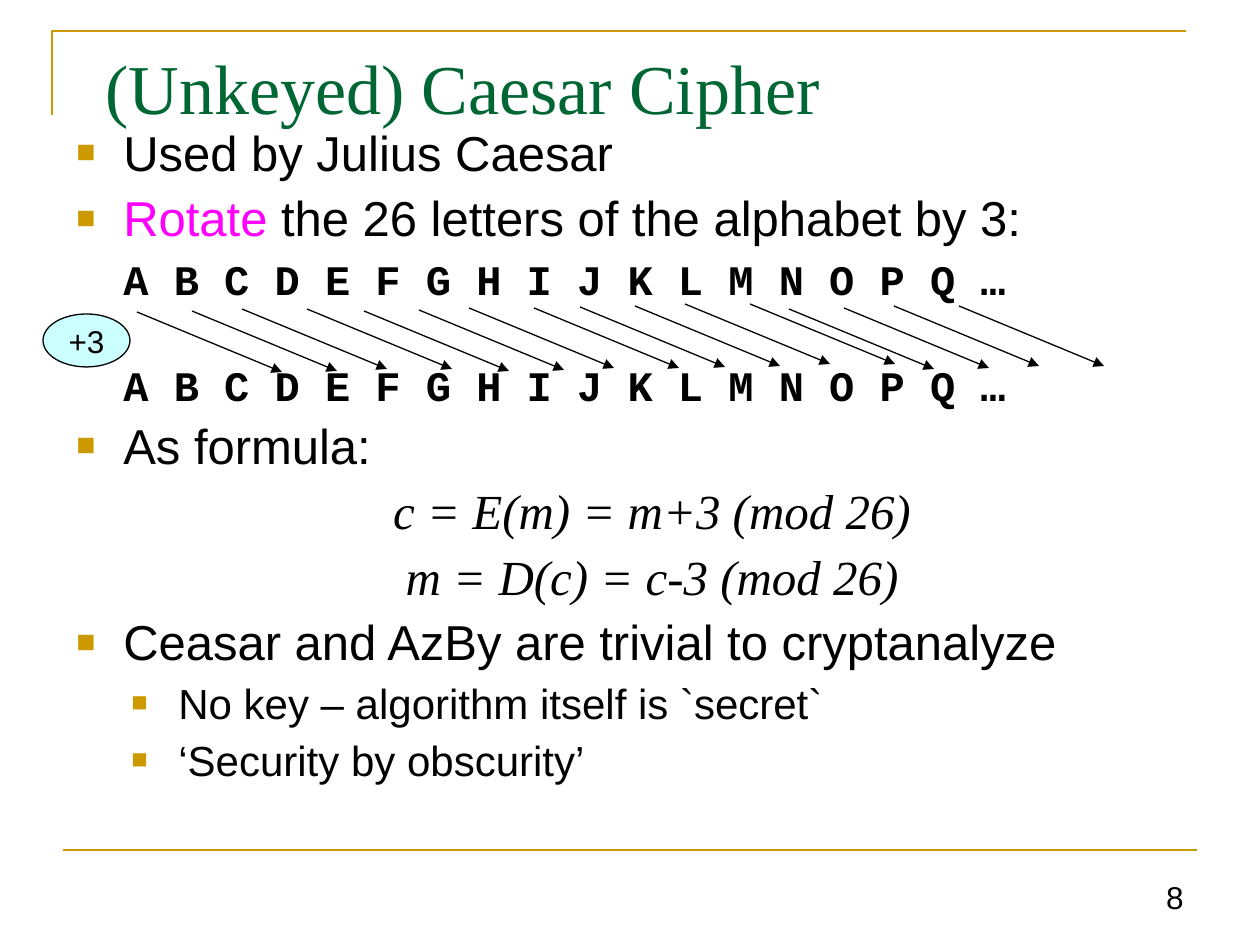
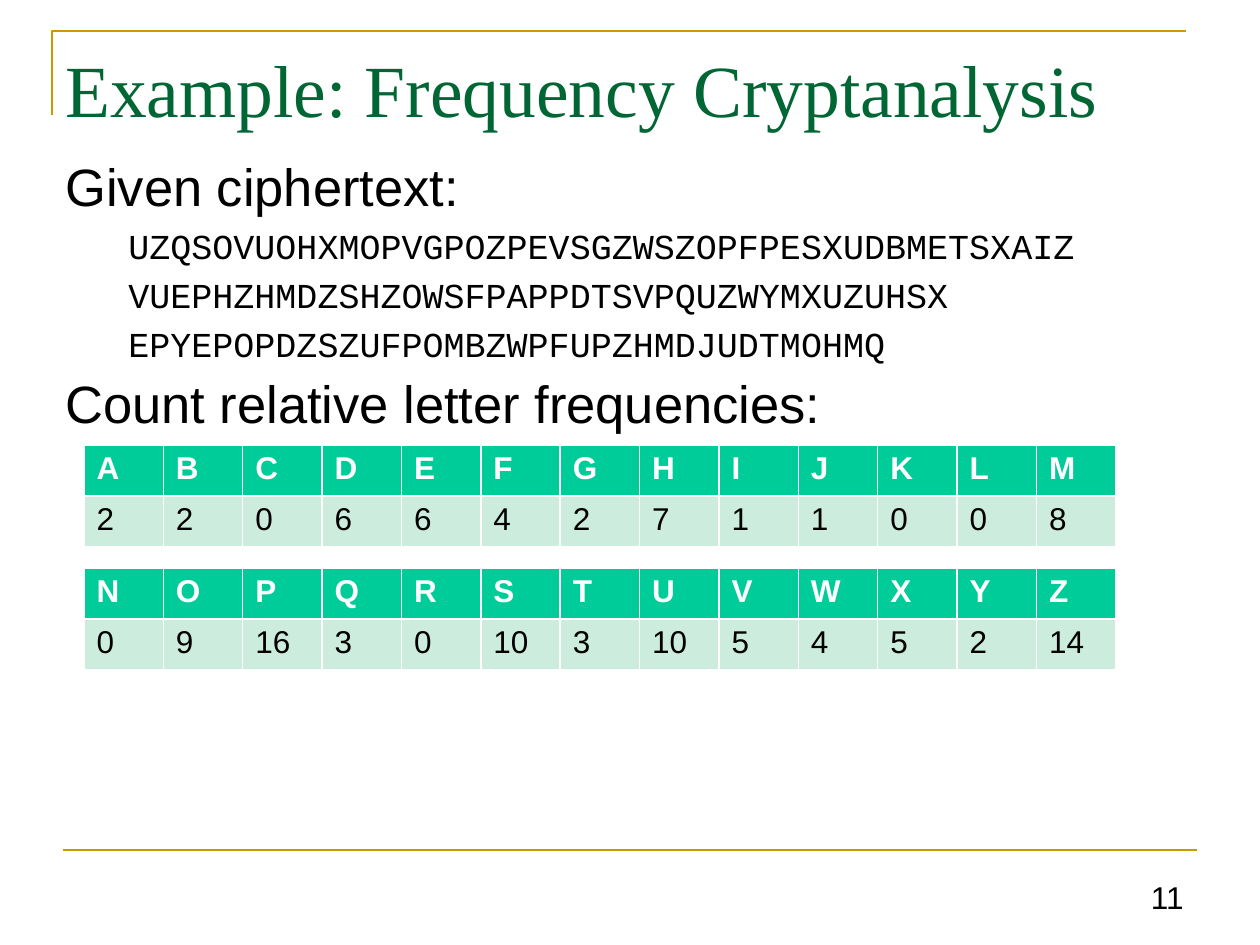
"""Build two lecture slides on the Caesar cipher and frequency cryptanalysis."""
from dataclasses import dataclass
from itertools import product

from lxml import etree
from pptx import Presentation
from pptx.dml.color import RGBColor
from pptx.enum.shapes import MSO_CONNECTOR, MSO_SHAPE
from pptx.enum.text import MSO_ANCHOR, PP_ALIGN
from pptx.oxml.ns import qn
from pptx.util import Emu, Pt

STRAIGHT = MSO_CONNECTOR.STRAIGHT
OVAL = MSO_SHAPE.OVAL
TOP, MIDDLE, BOTTOM = MSO_ANCHOR.TOP, MSO_ANCHOR.MIDDLE, MSO_ANCHOR.BOTTOM
LEFT, CENTER, RIGHT = PP_ALIGN.LEFT, PP_ALIGN.CENTER, PP_ALIGN.RIGHT

PX_PER_INCH = 126
PAGE_WIDTH, PAGE_HEIGHT = 1260, 945
SANS, SERIF, MONO = "Arial", "Times New Roman", "Courier New"
BLACK, WHITE, GOLD, GREEN = "000000", "FFFFFF", "CC9900", "006633"
MAGENTA, PALE_CYAN = "FF00FF", "CCFFFF"
HEADER_FILL, COUNT_FILL = "00CC99", "CCECDE"

ALPHABET_ROW = "A B C D E F G H I J K L M N O P Q …"
ARROW_GROUPS = [(137, 312), (364, 311), (580, 307), (789, 309)]
ARROW_OFFSETS = [(0, 0), (55, -1), (105, -3), (170, -3)]
ARROW_RUN, ARROW_DROP = 145, 60
LETTER_COUNTS = [
    ("ABCDEFGHIJKLM", [2, 2, 0, 6, 6, 4, 2, 7, 1, 1, 0, 0, 8]),
    ("NOPQRSTUVWXYZ", [0, 9, 16, 3, 0, 10, 3, 10, 5, 4, 5, 2, 14]),
]


@dataclass(frozen=True)
class Area:
    """A rectangle in px."""
    left: int
    top: int
    width: int
    height: int

    def emu(self) -> tuple:
        """Return the four lengths in EMU."""
        return tuple(map(px, (self.left, self.top, self.width, self.height)))


@dataclass(frozen=True)
class Span:
    """A stretch of text in one colour."""
    text: str
    color: str = BLACK


@dataclass(frozen=True)
class Line:
    """A paragraph with its character and paragraph format."""
    spans: tuple
    size: int
    font: str = SANS
    bold: bool = False
    italic: bool = False
    align: PP_ALIGN = LEFT
    margin: int = 0
    indent: int = 0
    bullet: bool = False
    spacing: float = 1.0
    before: float = 0
    after: float = 0


def px(length: int) -> Emu:
    """Turn px into EMU."""
    return Emu(round(length * 914400 / PX_PER_INCH))


def rgb(color: str) -> RGBColor:
    """Turn a hex string into a colour."""
    return RGBColor.from_string(color)


def add_child(parent, tag: str, **attributes: str):
    """Append an XML element with its attributes."""
    return etree.SubElement(parent, qn(tag), attributes)


def add_span(para, text: str, *, size: int, font: str = SANS, color: str = BLACK,
             bold: bool = False, italic: bool = False) -> None:
    """Add formatted text to a paragraph."""
    span = para.add_run()
    span.text = text
    span.font.size = Pt(size)
    span.font.name = font
    span.font.bold = bold
    span.font.italic = italic
    span.font.color.rgb = rgb(color)


def add_bullet(properties) -> None:
    """Give a paragraph the gold square bullet."""
    color = add_child(properties, "a:buClr")
    add_child(color, "a:srgbClr", val=GOLD)
    add_child(properties, "a:buSzPct", val="65000")
    add_child(properties, "a:buFont", typeface=SANS)
    add_child(properties, "a:buChar", char="■")


def write_lines(frame, lines: list[Line]) -> None:
    """Fill a text frame with paragraphs."""
    for index, line in enumerate(lines):
        para = frame.add_paragraph() if index else frame.paragraphs[0]
        properties = para._p.get_or_add_pPr()
        properties.set("marL", str(px(line.margin)))
        properties.set("indent", str(px(line.indent)))
        if line.bullet:
            add_bullet(properties)
        para.alignment = line.align
        para.line_spacing = line.spacing
        para.space_before = Pt(line.before if index else 0)
        para.space_after = Pt(line.after)
        for span in line.spans:
            add_span(para, span.text, size=line.size, font=line.font, color=span.color,
                     bold=line.bold, italic=line.italic)


def add_box(page, area: Area, lines: list[Line], anchor: MSO_ANCHOR = TOP) -> None:
    """Add a wrapped text box."""
    frame = page.shapes.add_textbox(*area.emu()).text_frame
    frame.word_wrap = True
    frame.vertical_anchor = anchor
    write_lines(frame, lines)


def add_line(page, start: tuple, end: tuple, color: str, weight: float,
             arrow: bool = False) -> None:
    """Draw a straight line, with an arrowhead at its end if asked."""
    line = page.shapes.add_connector(STRAIGHT, *map(px, start + end))
    line.line.color.rgb = rgb(color)
    line.line.width = Pt(weight)
    if arrow:
        add_child(line.line._get_or_add_ln(), "a:tailEnd", type="triangle")
    add_child(line._element.spPr, "a:effectLst")


def add_page(deck, title: str, title_area: Area, title_size: int, number: int):
    """Add a page with the shared frame, title, footer rule and number."""
    page = deck.slides.add_slide(deck.slide_layouts[6])
    builder = page.shapes.build_freeform(px(52), px(115))
    builder.add_line_segments([(px(52), px(31)), (px(1186), px(31))], close=False)
    corner = builder.convert_to_shape()
    corner.shadow.inherit = False
    corner.fill.background()
    corner.line.color.rgb = rgb(GOLD)
    corner.line.width = Pt(1.5)
    add_line(page, (63, 850), (1197, 850), GOLD, 1.5)
    add_box(page, title_area, [Line((Span(title, GREEN),), title_size, SERIF)])
    digits = str(number)
    width = 31 + 18 * len(digits)
    add_box(page, Area(1196 - width, 860, width, 62),
            [Line((Span(digits),), 18, align=RIGHT)], BOTTOM)
    return page


def bullet_line(*spans: Span, size: int = 28, margin: int = 47) -> Line:
    """Describe a bulleted paragraph."""
    return Line(spans, size, margin=margin, indent=-47, bullet=True, after=3.8)


def alphabet_line(after: float) -> Line:
    """Describe a row of the alphabet."""
    return Line((Span(ALPHABET_ROW),), 24, MONO, bold=True, margin=47, after=after)


def formula_line(text: str) -> Line:
    """Describe a centred formula."""
    return Line((Span(text),), 28, SERIF, italic=True, align=CENTER, margin=47, indent=-47,
                after=3.8)


def build_caesar_page(deck) -> None:
    """Build the page on the Caesar cipher."""
    page = add_page(deck, "(Unkeyed) Caesar Cipher", Area(93, 38, 1071, 158), 40, 8)
    add_box(page, Area(64, 116, 1176, 716), [
        bullet_line(Span("Used by Julius Caesar")),
        bullet_line(Span("Rotate", MAGENTA), Span(" the 26 letters of the alphabet by 3:")),
        alphabet_line(after=31.9),
        alphabet_line(after=3.2),
        bullet_line(Span("As formula:")),
        formula_line("c = E(m) = m+3 (mod 26)"),
        formula_line("m = D(c) = c-3 (mod 26)"),
        bullet_line(Span("Ceasar and AzBy are trivial to cryptanalyze")),
        bullet_line(Span("No key – algorithm itself is `secret`"), size=24, margin=102),
        bullet_line(Span("‘Security by obscurity’"), size=24, margin=102),
    ])
    for (left, top), (across, down) in product(ARROW_GROUPS, ARROW_OFFSETS):
        x, y = left + across, top + down
        add_line(page, (x, y), (x + ARROW_RUN, y + ARROW_DROP), BLACK, 0.75, arrow=True)
    shift = page.shapes.add_shape(OVAL, *Area(43, 314, 87, 53).emu())
    shift.shadow.inherit = False
    shift.fill.solid()
    shift.fill.fore_color.rgb = rgb(PALE_CYAN)
    shift.line.color.rgb = rgb(BLACK)
    shift.line.width = Pt(0.75)
    shift.text_frame.word_wrap = False
    shift.text_frame.vertical_anchor = MIDDLE
    write_lines(shift.text_frame, [Line((Span("+3"),), 18, align=CENTER)])


def fill_cell(cell, text: str, is_header: bool) -> None:
    """Set the fill and text of a table cell."""
    cell.fill.solid()
    cell.fill.fore_color.rgb = rgb(HEADER_FILL if is_header else COUNT_FILL)
    add_span(cell.text_frame.paragraphs[0], text, size=18, bold=is_header,
             color=WHITE if is_header else BLACK)


def add_count_table(page, area: Area, letters: str, counts: list[int]) -> None:
    """Add a table of letters over their counts."""
    table = page.shapes.add_table(2, len(letters), *area.emu()).table
    for column, (letter, count) in enumerate(zip(letters, counts)):
        fill_cell(table.cell(0, column), letter, True)
        fill_cell(table.cell(1, column), str(count), False)


def heading_line(text: str) -> Line:
    """Describe a large step heading."""
    return Line((Span(text),), 30, margin=48, indent=-48, spacing=0.9, before=7.5)


def cipher_line(text: str) -> Line:
    """Describe a row of ciphertext."""
    return Line((Span(text),), 20, MONO, margin=102, indent=-39, spacing=0.9, before=6.5)


def build_frequency_page(deck) -> None:
    """Build the page on frequency cryptanalysis."""
    page = add_page(deck, "Example: Frequency Cryptanalysis", Area(53, 38, 1143, 189), 42, 11)
    add_box(page, Area(53, 155, 1187, 290), [
        heading_line("Given ciphertext:"),
        cipher_line("UZQSOVUOHXMOPVGPOZPEVSGZWSZOPFPESXUDBMETSXAIZ"),
        cipher_line("VUEPHZHMDZSHZOWSFPAPPDTSVPQUZWYMXUZUHSX"),
        cipher_line("EPYEPOPDZSZUFPOMBZWPFUPZHMDJUDTMOHMQ"),
        heading_line("Count relative letter frequencies:"),
    ])
    for index, (letters, counts) in enumerate(LETTER_COUNTS):
        add_count_table(page, Area(84, 445 + 123 * index, 1032, 102), letters, counts)


def main() -> None:
    """Build and save the deck."""
    deck = Presentation()
    deck.slide_width, deck.slide_height = px(PAGE_WIDTH), px(PAGE_HEIGHT)
    build_caesar_page(deck)
    build_frequency_page(deck)
    deck.save("out.pptx")


if __name__ == "__main__":
    main()
